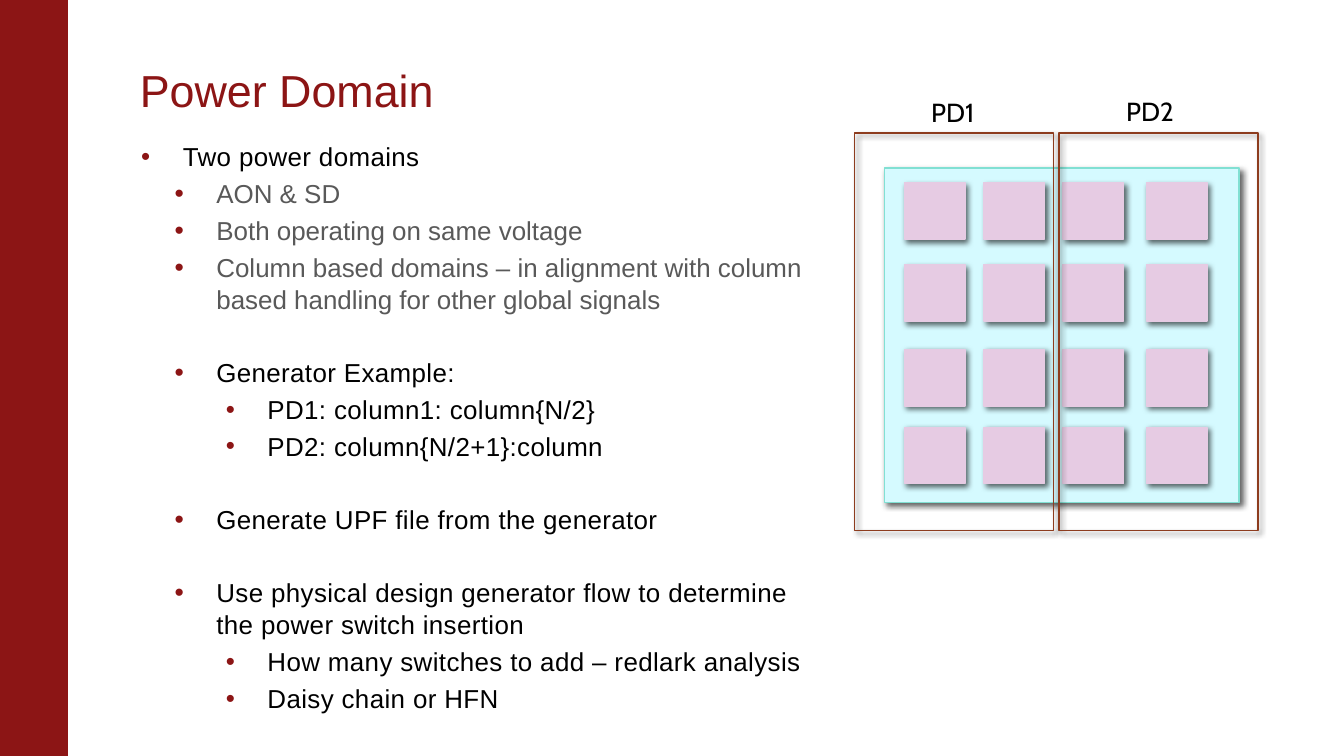
"""Build the Power Domain slide: a bulleted list beside a two-domain grid."""
from itertools import product

from lxml import etree
from pptx import Presentation
from pptx.dml.color import RGBColor
from pptx.enum.shapes import MSO_SHAPE
from pptx.enum.text import MSO_ANCHOR, MSO_AUTO_SIZE, PP_ALIGN
from pptx.oxml.ns import qn
from pptx.util import Inches, Pt

RECTANGLE = MSO_SHAPE.RECTANGLE
LEFT = PP_ALIGN.LEFT
TOP, BOTTOM = MSO_ANCHOR.TOP, MSO_ANCHOR.BOTTOM
NO_AUTOFIT = MSO_AUTO_SIZE.NONE

CARDINAL = RGBColor(0x8C, 0x15, 0x15)
BLACK = RGBColor(0, 0, 0)
GRAY = RGBColor(0x59, 0x59, 0x59)
PALE_CYAN = RGBColor(0xD5, 0xFA, 0xFF)
TEAL = RGBColor(0x81, 0xE0, 0xD3)
PINK = RGBColor(0xE6, 0xCB, 0xE3)
BROWN = RGBColor(0x8D, 0x3C, 0x1E)

PAGE_WIDTH = 10
PAGE_HEIGHT = PAGE_WIDTH * 9 / 16
BODY_SIZE = 13.9
PARA_GAP = 2.6
SECTION_GAP = 22.1
LEVEL_INDENTS = (0.31, 0.56, 0.94)
HANGING = 0.31

# level, text, colour, gap before
BULLETS = (
    (0, "Two power domains", BLACK, PARA_GAP),
    (1, "AON & SD", GRAY, PARA_GAP),
    (1, "Both operating on same voltage", GRAY, PARA_GAP),
    (1, "Column based domains – in alignment with column based handling "
        "for other global signals", GRAY, PARA_GAP),
    (1, "Generator Example:", BLACK, SECTION_GAP),
    (2, "PD1: column1: column{N/2}", BLACK, PARA_GAP),
    (2, "PD2: column{N/2+1}:column", BLACK, PARA_GAP),
    (1, "Generate UPF file from the generator", BLACK, SECTION_GAP),
    (1, "Use physical design generator flow to determine the power switch "
        "insertion", BLACK, SECTION_GAP),
    (2, "How many switches to add – redlark analysis", BLACK, PARA_GAP),
    (2, "Daisy chain or HFN", BLACK, PARA_GAP),
)

TILE_COLUMNS = (6.73, 7.32, 7.91, 8.53)
TILE_ROWS = (1.36, 1.97, 2.6, 3.18)
DOMAINS = (("PD1", 6.36, 6.83, 0.67), ("PD2", 7.88, 8.28, 0.66))


def write_text(para, text, size=BODY_SIZE, font="Arial", color=BLACK,
               tracking=0):
    """Add one formatted span to a paragraph."""
    span = para.add_run()
    span.text = text
    span.font.size = Pt(size)
    span.font.name = font
    span.font.color.rgb = color
    if tracking:
        span.font._element.set("spc", str(round(tracking * 100)))


def add_bullet_mark(para, level):
    """Give a paragraph a hanging red bullet at the indent of its level."""
    props = para._p.get_or_add_pPr()
    props.set("marL", str(Inches(LEVEL_INDENTS[level])))
    props.set("indent", str(-Inches(HANGING)))
    color = etree.SubElement(props, qn("a:buClr"))
    etree.SubElement(color, qn("a:srgbClr"), val=str(CARDINAL))
    if level == 1:
        etree.SubElement(props, qn("a:buSzPct"), val="102000")
    etree.SubElement(props, qn("a:buFont"), typeface="Arial")
    etree.SubElement(props, qn("a:buChar"), char="•")


def add_shadow(shape):
    """Cast a soft shadow towards the lower right."""
    effects = shape._element.spPr.find(qn("a:effectLst"))
    shadow = etree.SubElement(effects, qn("a:outerShdw"),
                              blurRad=str(Pt(3)), dist=str(Pt(2)),
                              dir="2700000", algn="tl", rotWithShape="0")
    color = etree.SubElement(shadow, qn("a:srgbClr"), val=str(BLACK))
    etree.SubElement(color, qn("a:alpha"), val="60000")


def add_rectangle(slide, left, top, width, height, line, fill=None,
                  shadow=True):
    """Draw a thinly outlined rectangle, hollow when no fill is given."""
    box = slide.shapes.add_shape(RECTANGLE, Inches(left), Inches(top),
                                 Inches(width), Inches(height))
    if fill is None:
        box.fill.background()
    else:
        box.fill.solid()
        box.fill.fore_color.rgb = fill
    box.line.color.rgb = line
    box.line.width = Pt(0.75)
    box.shadow.inherit = False
    if shadow:
        add_shadow(box)


def place_placeholder(box, left, top, width, height, anchor, right_inset):
    """Move a placeholder and return its text frame with insets set."""
    box.left, box.top = Inches(left), Inches(top)
    box.width, box.height = Inches(width), Inches(height)
    frame = box.text_frame
    frame.word_wrap = True
    frame.auto_size = NO_AUTOFIT
    frame.vertical_anchor = anchor
    frame.margin_left, frame.margin_right = 0, Inches(right_inset)
    frame.margin_top = frame.margin_bottom = Inches(0.05)
    return frame


def fill_title(box):
    """Write the slide title."""
    frame = place_placeholder(box, 1.04, 0.39, 8.43, 0.53, BOTTOM, 0.1)
    para = frame.paragraphs[0]
    para.alignment = LEFT
    para.line_spacing = 0.85
    write_text(para, "Power Domain", size=24, color=CARDINAL)


def fill_list(box):
    """Write the bulleted list."""
    frame = place_placeholder(box, 1.05, 0.99, 5.08, 4.11, TOP, 0)
    for index, (level, text, color, gap) in enumerate(BULLETS):
        para = frame.add_paragraph() if index else frame.paragraphs[0]
        para.level = level
        para.alignment = LEFT
        para.line_spacing = 1.03
        para.space_before = Pt(gap)
        add_bullet_mark(para, level)
        write_text(para, text, color=color,
                   tracking=0.2 if color == BLACK else 0)


def add_label(slide, text, left, top):
    """Name a power domain above its frame."""
    box = slide.shapes.add_textbox(Inches(left), Inches(top),
                                   Inches(0.58), Inches(0.34))
    box.text_frame.word_wrap = False
    write_text(box.text_frame.paragraphs[0], text, size=14, font="Cabin")


def add_domain_diagram(slide):
    """Draw the tile array and the two domains that divide it."""
    add_rectangle(slide, 6.58, 1.25, 2.64, 2.49, TEAL, fill=PALE_CYAN)
    for left, top in product(TILE_COLUMNS, TILE_ROWS):
        add_rectangle(slide, left, top, 0.45, 0.42, PINK, fill=PINK)
    for name, left, label_left, label_top in DOMAINS:
        add_rectangle(slide, left, 0.99, 1.48, 2.96, BROWN)
        add_label(slide, name, label_left, label_top)


def main():
    """Build and save the deck."""
    deck = Presentation()
    deck.slide_width = Inches(PAGE_WIDTH)
    deck.slide_height = Inches(PAGE_HEIGHT)
    page = deck.slides.add_slide(deck.slide_layouts[1])
    add_rectangle(page, 0, 0, 0.5, PAGE_HEIGHT, CARDINAL, fill=CARDINAL,
                  shadow=False)
    fill_title(page.shapes.title)
    fill_list(page.placeholders[1])
    add_domain_diagram(page)
    deck.save("out.pptx")


if __name__ == "__main__":
    main()
